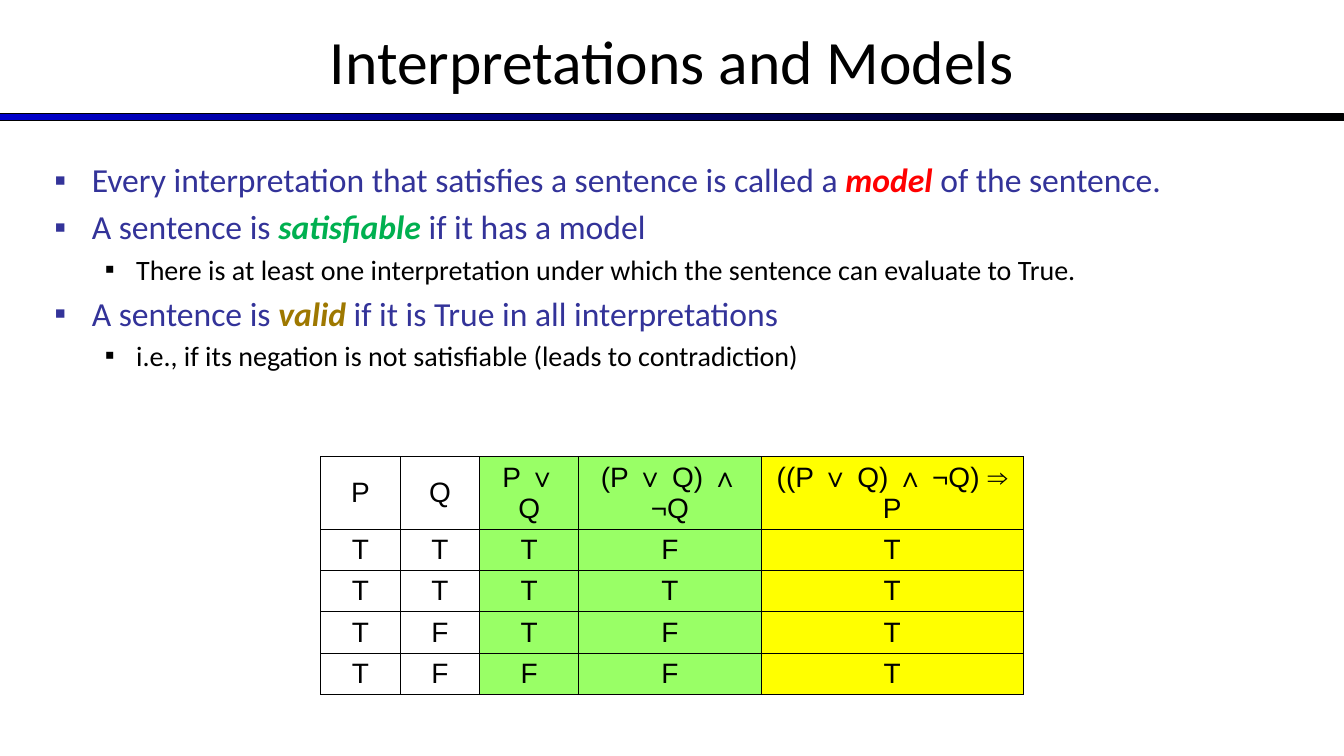
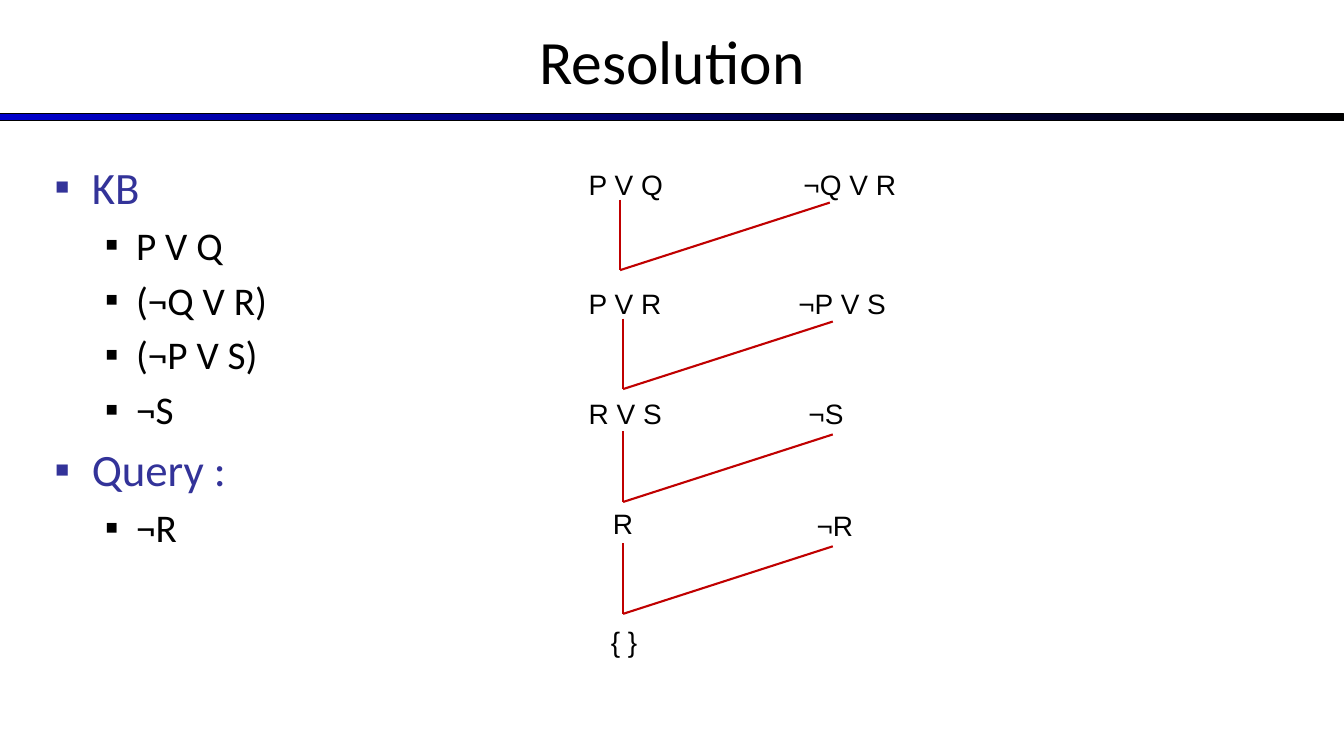
from lxml.etree import SubElement
from pptx import Presentation
from pptx.dml.color import RGBColor
from pptx.enum.shapes import MSO_CONNECTOR, MSO_SHAPE
from pptx.enum.text import MSO_ANCHOR, MSO_AUTO_SIZE, PP_ALIGN
from pptx.oxml.ns import qn
from pptx.util import Inches, Pt

BLACK, INDIGO, BLUE = "000000", "333399", "0000CC"
RED, GREEN, OCHRE, CRIMSON = "FF0000", "00B050", "9E7800", "C00000"
LIME, YELLOW = "99FF66", "FFFF00"

TITLE_FONT = {"name": "Calibri", "size": Pt(44), "bold": False}
LABEL_FONT = {"name": "Arial", "size": Pt(20)}
EMPHASIS = {"bold": True, "italic": True}
LEVELS = [
    {"color": INDIGO, "margin": 0.37, "hanging": 0.37},
    {"color": BLACK, "margin": 0.81, "hanging": 0.31},
]
TITLE_BOX = (0, -0.03, 13.33, 1.25)
BODY_BOX = (0.44, 1.53, 12.44, 5.17)
BAND_BOX = (0, 1.13, 13.33, 0.07)

MODEL_POINTS = [
    (0, ["Every interpretation that satisfies a sentence is called a ",
         ("model", RED), " of the sentence."]),
    (0, ["A sentence is ", ("satisfiable ", GREEN), "if it has a model"]),
    (1, ["There is at least one interpretation under which the sentence "
         "can evaluate to True."]),
    (0, ["A sentence is ", ("valid", OCHRE), " if it is True in all interpretations"]),
    (1, ["i.e., if its negation is not satisfiable (leads to contradiction)"]),
]
TRUTH_ROWS = [
    ["P", "Q", "P ∨ Q", "(P ∨ Q) ∧ ¬Q", "((P ∨ Q) ∧ ¬Q) ⇒ P"],
    *map(list, ("TTTFT", "TTTTT", "TFTFT", "TFFFT")),
]
TRUTH_WIDTHS = [0.79, 0.79, 0.98, 1.81, 2.6]
TRUTH_FILLS = [None, None, LIME, LIME, YELLOW]

KB_POINTS = [
    (0, ["KB"]), (1, ["P V Q"]), (1, ["(¬Q V R)"]), (1, ["(¬P V S)"]),
    (1, ["¬S"]), (0, ["Query :"]), (1, ["¬R"]),
]
PROOF_STEPS = [
    (("P V Q", 0, 0), ("¬Q V R", 2.13, 0), (0.41, 0.37)),
    (("P V R", 0, 1.18), ("¬P V S", 2.08, 1.18), (0.44, 1.55)),
    (("R V S", 0, 2.27), ("¬S", 2.18, 2.27), (0.44, 2.67)),
    (("R", 0.24, 3.37), ("¬R", 2.26, 3.39), (0.44, 3.78)),
]


def rgb(color):
    """Turn a hex string into a colour."""
    return RGBColor.from_string(color)


def box_inches(box):
    """Convert a box of numbers to lengths."""
    return [Inches(length) for length in box]


def place(shape, box):
    """Move and size a shape to fill a box."""
    for side, length in zip(("left", "top", "width", "height"), box_inches(box)):
        setattr(shape, side, length)


def add_run(paragraph, text, color, font_values):
    """Append formatted text to a paragraph."""
    run = paragraph.add_run()
    run.text = text
    for name, value in font_values.items():
        setattr(run.font, name, value)
    run.font.color.rgb = rgb(color)


def add_bullet(paragraph, color, margin, hanging):
    """Give a paragraph a square bullet and a hanging indent."""
    properties = paragraph._p.get_or_add_pPr()
    properties.set("marL", str(Inches(margin)))
    properties.set("indent", str(-Inches(hanging)))
    bullet_color = SubElement(properties, qn("a:buClr"))
    SubElement(bullet_color, qn("a:srgbClr"), val=color)
    SubElement(properties, qn("a:buFont"), typeface="Arial")
    SubElement(properties, qn("a:buChar"), char="▪")


def fill_list(body, points, sizes):
    """Write a two-level bulleted list into the body placeholder."""
    place(body, BODY_BOX)
    frame = body.text_frame
    frame.auto_size = MSO_AUTO_SIZE.NONE
    for index, (level, parts) in enumerate(points):
        paragraph = frame.add_paragraph() if index else frame.paragraphs[0]
        paragraph.level = level
        add_bullet(paragraph, **LEVELS[level])
        if index == 0:
            paragraph.space_before = Pt(0)
        font_values = {"name": "Calibri", "size": Pt(sizes[level])}
        for part in parts:
            if isinstance(part, tuple):
                add_run(paragraph, *part, {**font_values, **EMPHASIS})
            else:
                add_run(paragraph, part, LEVELS[level]["color"], font_values)


def add_master_band(prs, slide):
    """Draw the gradient band and hand it to the slide master."""
    band = slide.shapes.add_shape(MSO_SHAPE.RECTANGLE, *box_inches(BAND_BOX))
    band.shadow.inherit = False
    band.fill.gradient()
    band.fill.gradient_angle = 0
    for stop, color in zip(band.fill.gradient_stops, (BLUE, BLACK)):
        stop.color.rgb = rgb(color)
    band.line.color.rgb = rgb(BLACK)
    band.line.width = Pt(0.75)
    band.element.xpath("./p:nvSpPr/p:cNvPr")[0].set("id", "20")
    prs.slide_master.shapes.element.append(band.element)


def add_list_slide(prs, title, points, sizes):
    """Add a slide with a centred title and a bulleted list."""
    slide = prs.slides.add_slide(prs.slide_layouts[1])
    heading = slide.shapes.title
    place(heading, TITLE_BOX)
    frame = heading.text_frame
    frame.auto_size = MSO_AUTO_SIZE.NONE
    frame.vertical_anchor = MSO_ANCHOR.MIDDLE
    frame.paragraphs[0].alignment = PP_ALIGN.CENTER
    add_run(frame.paragraphs[0], title, BLACK, TITLE_FONT)
    fill_list(slide.placeholders[1], points, sizes)
    return slide


def add_cell_borders(cell):
    """Draw a thin black line on each side of a cell."""
    properties = cell._tc.get_or_add_tcPr()
    for side in ("lnL", "lnR", "lnT", "lnB"):
        border = SubElement(properties, qn(f"a:{side}"), w=str(Pt(1)))
        solid = SubElement(border, qn("a:solidFill"))
        SubElement(solid, qn("a:srgbClr"), val=BLACK)


def add_truth_table(slide, left, top, row_height):
    """Add the truth table with its coloured formula columns."""
    box = (left, top, sum(TRUTH_WIDTHS), row_height * len(TRUTH_ROWS))
    table = slide.shapes.add_table(
        len(TRUTH_ROWS), len(TRUTH_WIDTHS), *box_inches(box)).table
    table.first_row = table.horz_banding = False
    for column, width in zip(table.columns, TRUTH_WIDTHS):
        column.width = Inches(width)
    for row, values in zip(table.rows, TRUTH_ROWS):
        row.height = Inches(row_height)
        for cell, value, color in zip(row.cells, values, TRUTH_FILLS):
            add_cell_borders(cell)
            if color:
                cell.fill.solid()
                cell.fill.fore_color.rgb = rgb(color)
            else:
                cell.fill.background()
            cell.vertical_anchor = MSO_ANCHOR.MIDDLE
            paragraph = cell.text_frame.paragraphs[0]
            paragraph.alignment = PP_ALIGN.CENTER
            add_run(paragraph, value, BLACK, LABEL_FONT)


def add_clause(slide, text, left, top):
    """Add one clause of the proof."""
    clause = slide.shapes.add_textbox(*box_inches((left, top, 1.39, 0.44)))
    clause.text_frame.word_wrap = True
    add_run(clause.text_frame.paragraphs[0], text, BLACK, LABEL_FONT)


def add_branch(slide, start, end):
    """Draw a line from a clause to its resolvent."""
    branch = slide.shapes.add_connector(
        MSO_CONNECTOR.STRAIGHT, *box_inches((*start, *end)))
    branch.line.color.rgb = rgb(CRIMSON)
    branch.line.width = Pt(1.5)
    SubElement(branch.element.spPr, qn("a:effectLst"))


def add_proof(slide, left, top):
    """Add the resolution steps down to the empty clause."""
    for *clauses, (stem_x, stem_y) in PROOF_STEPS:
        for text, x, y in clauses:
            add_clause(slide, text, left + x, top + y)
        stem_left, stem_top = left + stem_x, top + stem_y
        resolvent = (stem_left, stem_top + 0.7)
        add_branch(slide, (stem_left, stem_top), resolvent)
        add_branch(slide, (stem_left + 2.08, stem_top + 0.03), resolvent)
    add_clause(slide, "{ }", left + 0.22, top + 4.54)


def main():
    """Build and save the presentation."""
    prs = Presentation()
    prs.slide_width, prs.slide_height = Inches(13.33), Inches(7.5)
    models = add_list_slide(prs, "Interpretations and Models", MODEL_POINTS, (24, 20))
    add_master_band(prs, models)
    add_truth_table(models, 3.18, 4.53, 0.41)
    resolution = add_list_slide(prs, "Resolution", KB_POINTS, (32, 28))
    add_proof(resolution, 5.74, 1.61)
    prs.save("out.pptx")


if __name__ == "__main__":
    main()
